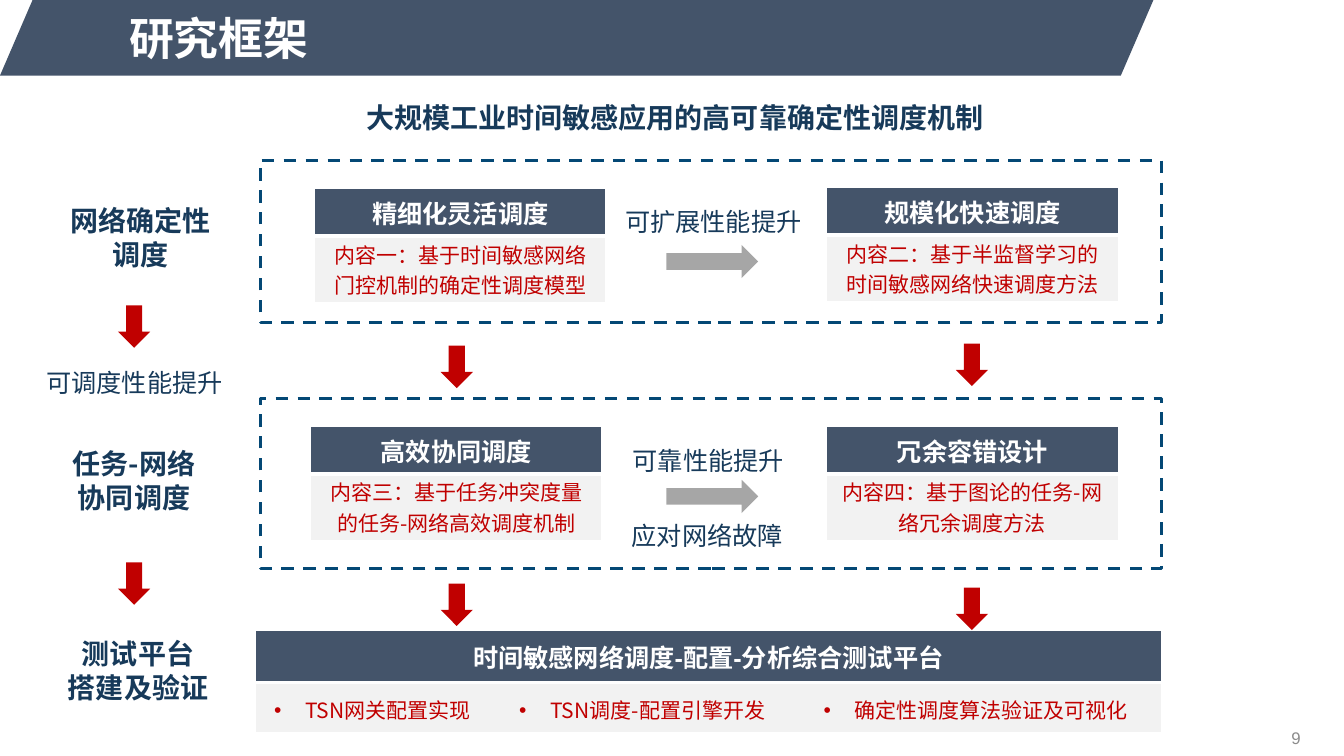
from lxml import etree
from pptx import Presentation
from pptx import util as u
from pptx.dml.color import RGBColor
from pptx.enum import dml, shapes, text
from pptx.oxml import ns

NAVY, INK, RED, PALE, GRAY, WHITE = "44546A", "173A5A", "C00000", "F2F2F2", "A6A6A6", "FFFFFF"
SANS, ARIAL = "Noto Sans CJK SC", "Arial"
FORM = shapes.MSO_SHAPE
MID = text.MSO_ANCHOR.MIDDLE
LEFT, CENTER, RIGHT = text.PP_ALIGN.LEFT, text.PP_ALIGN.CENTER, text.PP_ALIGN.RIGHT


def color(target, code):
    target.rgb = RGBColor.from_string(code)


def sub(parent, tag, **attrs):
    return etree.SubElement(parent, ns.qn(tag), **attrs)


class Board:
    """Draws styled elements on one slide."""

    def __init__(self, slide):
        self.slide = slide
        self.items = slide.shapes

    def letter(self, frame, lines, size, tint, bold=False, face=SANS, align=CENTER, bullet=False):
        frame.word_wrap = True
        for i, line in enumerate(lines):
            para = frame.add_paragraph() if i else frame.paragraphs[0]
            para.alignment = align
            para.space_before = u.Pt(0)
            if bullet:
                props = para._p.get_or_add_pPr()
                props.set("marL", str(u.Inches(0.31)))
                props.set("indent", str(u.Inches(-0.31)))
                sub(props, "a:buFont", typeface=ARIAL)
                sub(props, "a:buChar", char="•")
            run = para.add_run()
            run.text = line
            run.font.size = u.Pt(size)
            run.font.bold = bold
            run.font.name = face
            color(run.font.color, tint)
            sub(run._r.get_or_add_rPr(), "a:ea", typeface=SANS)

    def label(self, x, y, w, h, lines, size, tint=INK, **style):
        box = self.items.add_textbox(*map(u.Inches, (x, y, w, h)))
        self.letter(box.text_frame, lines, size, tint, **style)
        return box

    def shape(self, kind, x, y, w, h, fill):
        item = self.items.add_shape(kind, *map(u.Inches, (x, y, w, h)))
        item.shadow.inherit = False
        item.fill.solid()
        color(item.fill.fore_color, fill)
        item.line.fill.background()
        return item

    def frame(self, x, y, w, h):
        item = self.shape(FORM.RECTANGLE, x, y, w, h, WHITE)
        item.fill.background()
        color(item.line.color, "044875")
        item.line.width = u.Pt(2.25)
        item.line.dash_style = dml.MSO_LINE.DASH

    def title(self, x, y, w, h, words):
        head = self.items.title
        head.left, head.top, head.width, head.height = map(u.Inches, (x, y, w, h))
        head.text_frame.vertical_anchor = MID
        self.letter(head.text_frame, [words], 32, WHITE, bold=True, face=ARIAL, align=LEFT)
        tree = head._element.getparent()
        tree.append(head._element)

    def edge(self, cell, foot):
        props = cell._tc.get_or_add_tcPr()
        for i, (side, width) in enumerate(zip("LRTB", (1, 1, 1, foot))):
            line = etree.Element(ns.qn("a:ln" + side), w=str(u.Pt(width)))
            sub(sub(line, "a:solidFill"), "a:srgbClr", val=WHITE)
            props.insert(i, line)

    def card(self, x, y, w, rows, head, body=None):
        grid = self.items.add_table(2, 1, *map(u.Inches, (x, y, w, sum(rows)))).table
        grid.columns[0].width = u.Inches(w)
        for i, (high, fill, foot) in enumerate(zip(rows, (NAVY, PALE), (3, 1))):
            grid.rows[i].height = u.Inches(high)
            cell = grid.cell(i, 0)
            cell.fill.solid()
            color(cell.fill.fore_color, fill)
            cell.vertical_anchor = MID
            cell.margin_top = cell.margin_bottom = u.Inches(0.02)
            self.edge(cell, foot)
        self.letter(grid.cell(0, 0).text_frame, [head], 18, WHITE, bold=True, face=ARIAL)
        if body:
            self.letter(grid.cell(1, 0).text_frame, [body], 15, RED)


def main():
    deck = Presentation()
    deck.slide_width, deck.slide_height = u.Inches(13.33), u.Inches(7.5)
    board = Board(deck.slides.add_slide(deck.slide_layouts[5]))

    band = board.shape(FORM.PARALLELOGRAM, 0, 0, 11.44, 0.75, NAVY)
    band.adjustments[0] = 0.431
    board.title(1.18, 0.05, 7.74, 0.65, "研究框架")
    page = board.label(11.87, 7.13, 1.13, 0.38, ["9"], 12, "8C8C8C", face=ARIAL, align=RIGHT)
    page.text_frame.vertical_anchor = MID
    board.label(3.43, 0.95, 6.53, 0.44, ["大规模工业时间敏感应用的高可靠确定性调度机制"], 20, bold=True)

    for y, h in ((1.59, 1.61), (3.95, 1.69)):
        board.frame(2.58, y, 8.94, h)

    for x, y, head, body in (
        (3.12, 1.87, "精细化灵活调度", "内容一：基于时间敏感网络门控机制的确定性调度模型"),
        (8.2, 1.86, "规模化快速调度", "内容二：基于半监督学习的时间敏感网络快速调度方法"),
        (3.08, 4.23, "高效协同调度", "内容三：基于任务冲突度量的任务-网络高效调度机制"),
        (8.2, 4.23, "冗余容错设计", "内容四：基于图论的任务-网络冗余调度方法"),
    ):
        board.card(x, y, 2.89, (0.47, 0.66), head, body)
    board.card(2.53, 6.25, 8.99, (0.52, 0.5), "时间敏感网络调度-配置-分析综合测试平台")

    for x, y, w, lines in (
        (0.19, 1.97, 2.41, ["网络确定性", "调度"]),
        (-0.05, 4.38, 2.76, ["任务-网络", "协同调度"]),
        (-0.01, 6.27, 2.76, ["测试平台", "搭建及验证"]),
    ):
        board.label(x, y, w, 0.77, lines, 20, bold=True)

    for x, y, gain in (
        (0.13, 3.59, "可调度性能提升"),
        (5.87, 2, "可扩展性能提升"),
        (5.82, 4.37, "可靠性能提升"),
        (5.81, 5.11, "应对网络故障"),
    ):
        board.label(x, y, 2.41, 0.4, [gain], 18)

    for x, y in ((1.17, 3.03), (1.17, 5.58), (4.37, 3.43), (4.37, 5.79), (9.48, 3.41), (9.48, 5.83)):
        board.shape(FORM.DOWN_ARROW, x, y, 0.32, 0.42, RED)
    for y in (2.43, 4.76):
        board.shape(FORM.RIGHT_ARROW, 6.61, y, 0.91, 0.33, GRAY)

    for x, w, task in (
        (2.62, 2.82, "TSN网关配置实现"),
        (5.05, 2.82, "TSN调度-配置引擎开发"),
        (8.07, 3.45, "确定性调度算法验证及可视化"),
    ):
        board.label(x, 6.87, w, 0.35, [task], 15, RED, align=LEFT, bullet=True)

    deck.save("out.pptx")


if __name__ == "__main__":
    main()
